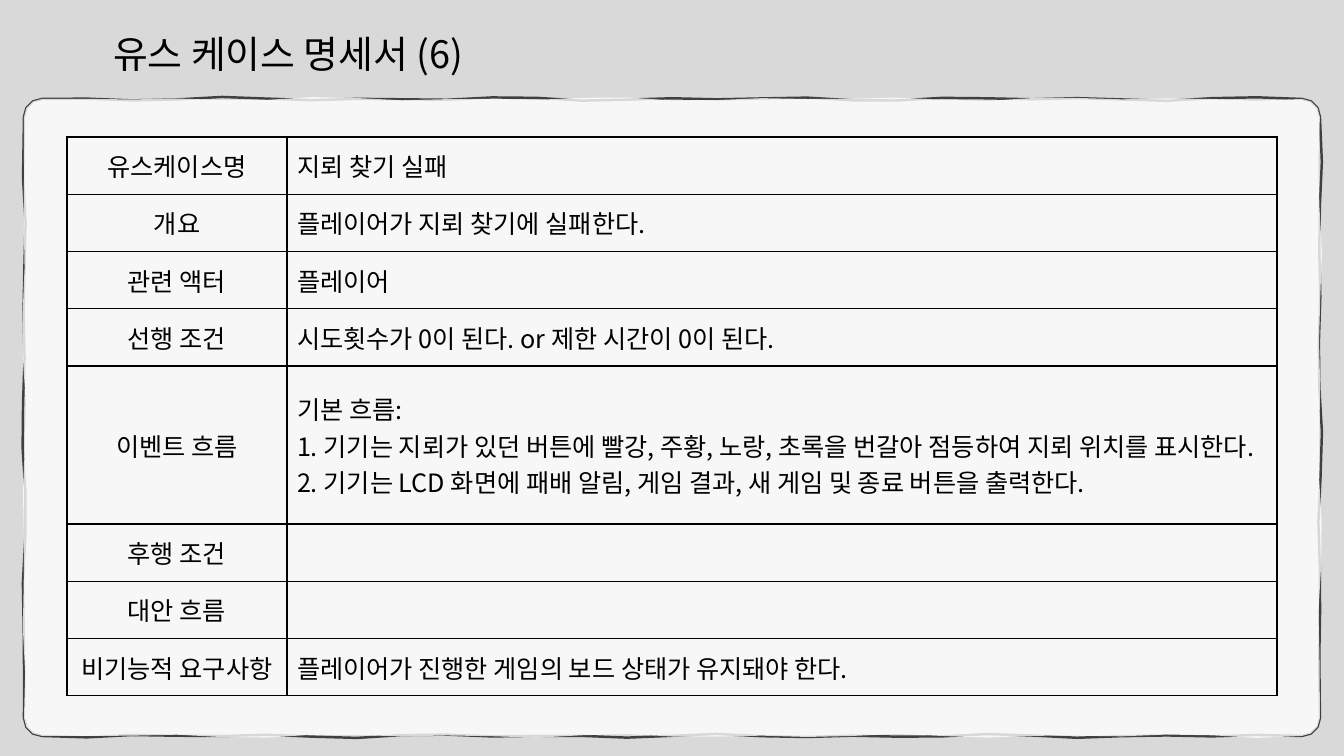
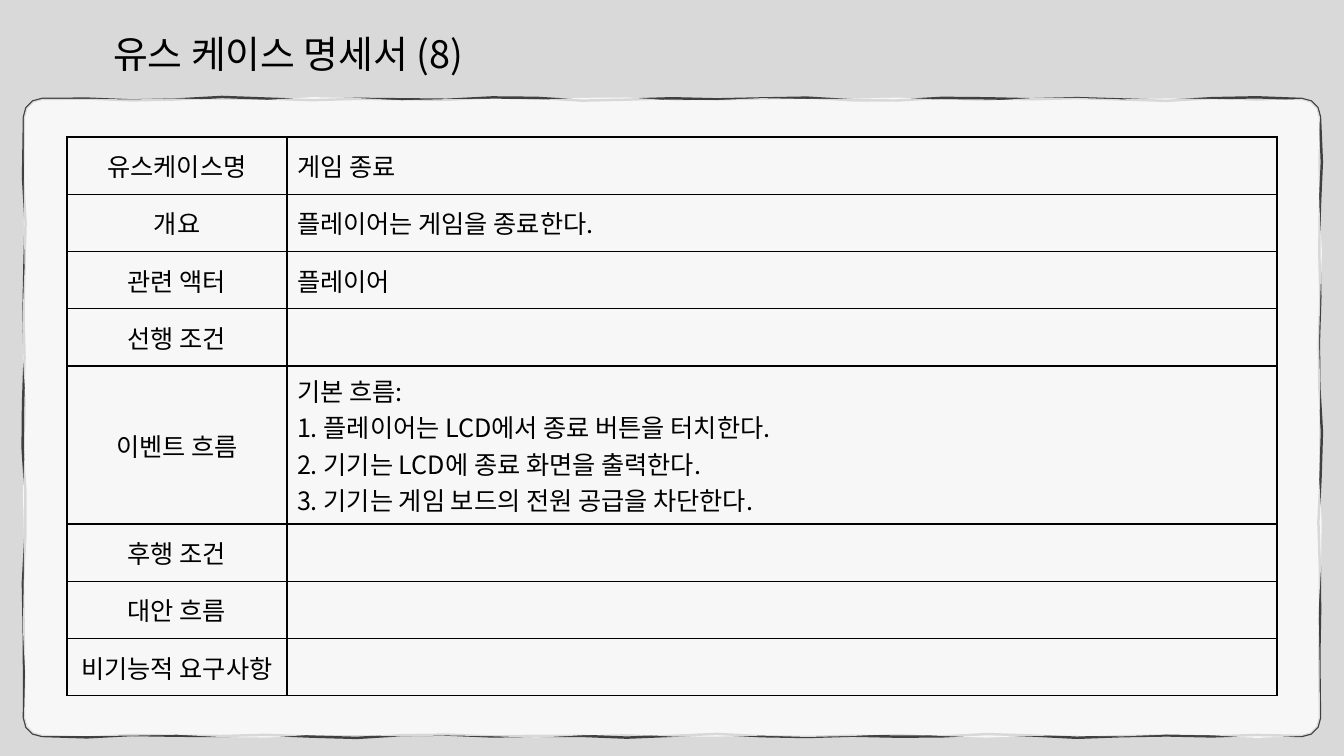
import math

from lxml import etree
from pptx import Presentation
from pptx import util as u
from pptx.dml.color import RGBColor
from pptx.enum import text
from pptx.oxml.ns import qn

PX = 12192000 / 1344  # EMU in one px of a 1344 x 756 slide
FONT = "Noto Sans CJK KR"
COLORS = {"background": "D9D9D9", "panel": "FFFFFF", "outline": "404040", "ink": "000000"}

LEFT, TOP, RIGHT, BOTTOM, RADIUS = 24, 99, 1320, 736, 18
WAVE_STEP = 45
TABLE_BOX = (67, 137, 1210, 559)
LABEL_WIDTH = 220
FLOW_ROW, FLOW_HEIGHT = 4, 158

LABELS = ["유스케이스명", "개요", "관련 액터", "선행 조건",
          "이벤트 흐름", "후행 조건", "대안 흐름", "비기능적 요구사항"]
USE_CASES = {
    "유스 케이스 명세서 (6)": [
        ["지뢰 찾기 실패"],
        ["플레이어가 지뢰 찾기에 실패한다."],
        ["플레이어"],
        ["시도횟수가 0이 된다. or 제한 시간이 0이 된다."],
        ["기본 흐름:",
         "1. 기기는 지뢰가 있던 버튼에 빨강, 주황, 노랑, 초록을 번갈아 점등하여 지뢰 위치를 표시한다.",
         "2. 기기는 LCD 화면에 패배 알림, 게임 결과, 새 게임 및 종료 버튼을 출력한다."],
        [],
        [],
        ["플레이어가 진행한 게임의 보드 상태가 유지돼야 한다."],
    ],
    "유스 케이스 명세서 (8)": [
        ["게임 종료"],
        ["플레이어는 게임을 종료한다."],
        ["플레이어"],
        [],
        ["기본 흐름:",
         "1. 플레이어는 LCD에서 종료 버튼을 터치한다.",
         "2. 기기는 LCD에 종료 화면을 출력한다.",
         "3. 기기는 게임 보드의 전원 공급을 차단한다."],
        [],
        [],
        [],
    ],
}


def sketch_outline(phase):
    """Return EMU points of a rounded rectangle with hand-drawn, wavering sides."""
    corners = [(RIGHT - RADIUS, TOP + RADIUS), (RIGHT - RADIUS, BOTTOM - RADIUS),
               (LEFT + RADIUS, BOTTOM - RADIUS), (LEFT + RADIUS, TOP + RADIUS)]
    points = []
    for side, (cx, cy) in enumerate(corners):
        for step in range(4):
            angle = math.radians(90 * side - 90 + 30 * step)
            points.append((cx + RADIUS * math.cos(angle), cy + RADIUS * math.sin(angle)))
        x, y = points[-1]
        dx, dy = [(0, 1), (-1, 0), (0, -1), (1, 0)][side]
        length = (BOTTOM - TOP if side % 2 == 0 else RIGHT - LEFT) - 2 * RADIUS
        for along in range(WAVE_STEP, length - WAVE_STEP // 2, WAVE_STEP):
            shift = (1.2 * math.sin(along / 23 + phase + side)
                     + 0.9 * math.sin(along / 41 + 2 * phase))
            points.append((x + dx * along + dy * shift, y + dy * along + dx * shift))
    return [(round(px * PX), round(py * PX)) for px, py in points]


def add_text(paragraph, words, size, align):
    paragraph.alignment = align
    run = paragraph.add_run()
    run.text = words
    run.font.size = u.Pt(size)
    run.font.name = FONT
    run.font.color.rgb = RGBColor.from_string(COLORS["ink"])
    etree.SubElement(run.font._element, qn("a:ea"), typeface=FONT)


prs = Presentation()
prs.slide_width, prs.slide_height = round(1344 * PX), round(756 * PX)
backdrop = prs.slide_master.background.fill
backdrop.solid()
backdrop.fore_color.rgb = RGBColor.from_string(COLORS["background"])

for heading, answers in USE_CASES.items():
    slide = prs.slides.add_slide(prs.slide_layouts[5])

    # The pen line lies under the translucent panel, which fades its inner half
    for part, phase in (("outline", 0), ("panel", 2)):
        points = sketch_outline(phase)
        builder = slide.shapes.build_freeform(*points[0])
        builder.add_line_segments(points[1:], close=True)
        sheet = builder.convert_to_shape()
        sheet.shadow.inherit = False
        color = RGBColor.from_string(COLORS[part])
        if part == "outline":
            sheet.fill.background()
            sheet.line.color.rgb = color
            sheet.line.width = u.Pt(1.75)
        else:
            sheet.line.fill.background()
            sheet.fill.solid()
            sheet.fill.fore_color.rgb = color
            tint = sheet.fill._xPr.find(".//" + qn("a:srgbClr"))
            etree.SubElement(tint, qn("a:alpha"), val="80000")

    title = slide.shapes.title
    title.left, title.top, title.width, title.height = (
        round(n * PX) for n in (103, 26, 454, 56))
    title.text_frame.auto_size = text.MSO_AUTO_SIZE.NONE
    title.text_frame.vertical_anchor = text.MSO_ANCHOR.TOP
    add_text(title.text_frame.paragraphs[0], heading, 27, text.PP_ALIGN.LEFT)

    details = slide.shapes.add_table(
        len(LABELS), 2, *(round(n * PX) for n in TABLE_BOX)).table
    details.first_row = details.horz_banding = False
    details.columns[0].width = round(LABEL_WIDTH * PX)
    details.columns[1].width = round((TABLE_BOX[2] - LABEL_WIDTH) * PX)
    plain_height = (TABLE_BOX[3] - FLOW_HEIGHT) / (len(LABELS) - 1)

    for row, (label, answer) in enumerate(zip(LABELS, answers)):
        details.rows[row].height = round(
            (FLOW_HEIGHT if row == FLOW_ROW else plain_height) * PX)
        for column, lines in enumerate(([label], answer)):
            cell = details.cell(row, column)
            cell.vertical_anchor = text.MSO_ANCHOR.MIDDLE
            borders = cell._tc.get_or_add_tcPr()
            for edge in ("a:lnL", "a:lnR", "a:lnT", "a:lnB"):
                rule = etree.SubElement(borders, qn(edge), w=str(int(u.Pt(1))))
                ink = etree.SubElement(rule, qn("a:solidFill"))
                etree.SubElement(ink, qn("a:srgbClr"), val=COLORS["ink"])
            cell.fill.background()
            align = text.PP_ALIGN.LEFT if column else text.PP_ALIGN.CENTER
            for number, line in enumerate(lines):
                frame = cell.text_frame
                paragraph = frame.add_paragraph() if number else frame.paragraphs[0]
                add_text(paragraph, line, 18, align)

prs.save("out.pptx")
